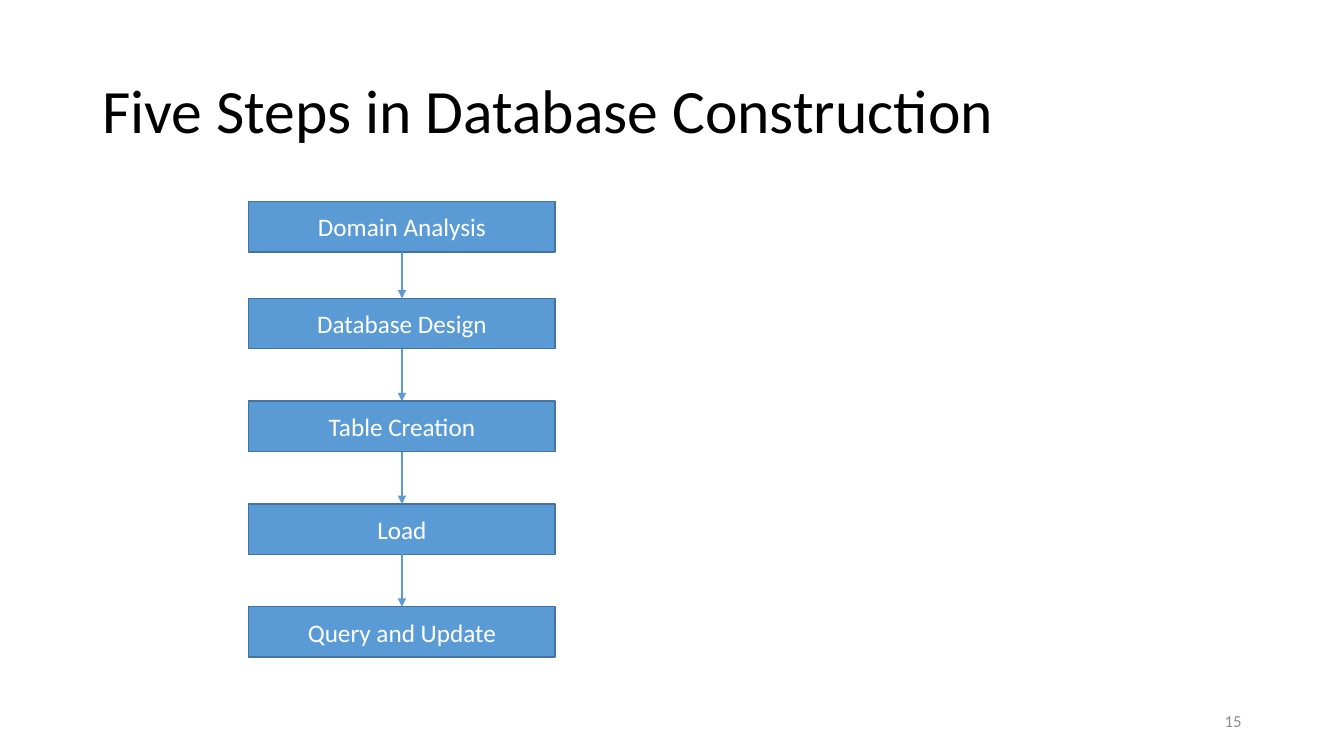
from itertools import pairwise

from lxml import etree
from pptx import Presentation
from pptx.dml.color import RGBColor
from pptx.enum.shapes import MSO_CONNECTOR, MSO_SHAPE
from pptx.enum.text import MSO_ANCHOR, PP_ALIGN
from pptx.oxml.ns import qn
from pptx.util import Cm, Pt

COLORS = {
    "title": "000000",
    "step": "5B9BD5",
    "outline": "43739E",
    "label": "FFFFFF",
    "number": "8C8C8C",
}
BOTTOM, TOP = 2, 0


class SlideBuilder:
    def __init__(self, slide, font="Calibri"):
        self.slide = slide
        self.font = font

    def color(self, name):
        return RGBColor.from_string(COLORS[name])

    def set_text(self, shape, text, size, color, align, spacing=1.0):
        frame = shape.text_frame
        frame.word_wrap = True
        frame.vertical_anchor = MSO_ANCHOR.MIDDLE
        paragraph = frame.paragraphs[0]
        paragraph.alignment = align
        paragraph.line_spacing = spacing
        run = paragraph.add_run()
        run.text = text
        run.font.name = self.font
        run.font.size = Pt(size)
        run.font.color.rgb = self.color(color)

    def text(self, text, left, top, width, height, size, color, align, spacing=1.0):
        box = self.slide.shapes.add_textbox(Cm(left), Cm(top), Cm(width), Cm(height))
        self.set_text(box, text, size, color, align, spacing)

    def step(self, label, left, top, width, height):
        box = self.slide.shapes.add_shape(
            MSO_SHAPE.RECTANGLE, Cm(left), Cm(top), Cm(width), Cm(height))
        box.shadow.inherit = False
        box.fill.solid()
        box.fill.fore_color.rgb = self.color("step")
        box.line.color.rgb = self.color("outline")
        box.line.width = Pt(1)
        self.set_text(box, label, 18, "label", PP_ALIGN.CENTER)
        return box

    def arrow(self, upper, lower):
        arrow = self.slide.shapes.add_connector(MSO_CONNECTOR.STRAIGHT, 0, 0, 0, 0)
        arrow.begin_connect(upper, BOTTOM)
        arrow.end_connect(lower, TOP)
        arrow.line.color.rgb = self.color("step")
        arrow.line.width = Pt(1.5)
        properties = arrow._element.spPr
        etree.SubElement(properties.find(qn("a:ln")), qn("a:tailEnd"), type="triangle")
        etree.SubElement(properties, qn("a:effectLst"))


STEPS = ["Domain Analysis", "Database Design", "Table Creation", "Load", "Query and Update"]
FIRST_TOP, SECOND_TOP, PITCH = 5.08, 7.52, 2.59

presentation = Presentation()
presentation.slide_width = Cm(33.87)
presentation.slide_height = Cm(19.05)
builder = SlideBuilder(presentation.slides.add_slide(presentation.slide_layouts[6]))

builder.text("Five Steps in Database Construction", 2.33, 1.01, 29.21, 3.68,
             44, "title", PP_ALIGN.LEFT, 0.9)

tops = [FIRST_TOP] + [SECOND_TOP + PITCH * i for i in range(len(STEPS) - 1)]
boxes = [builder.step(label, 6.27, top, 7.72, 1.27) for label, top in zip(STEPS, tops)]
for upper, lower in pairwise(boxes):
    builder.arrow(upper, lower)

builder.text("15", 23.92, 17.66, 7.62, 1.01, 12, "number", PP_ALIGN.RIGHT)

presentation.save("out.pptx")
